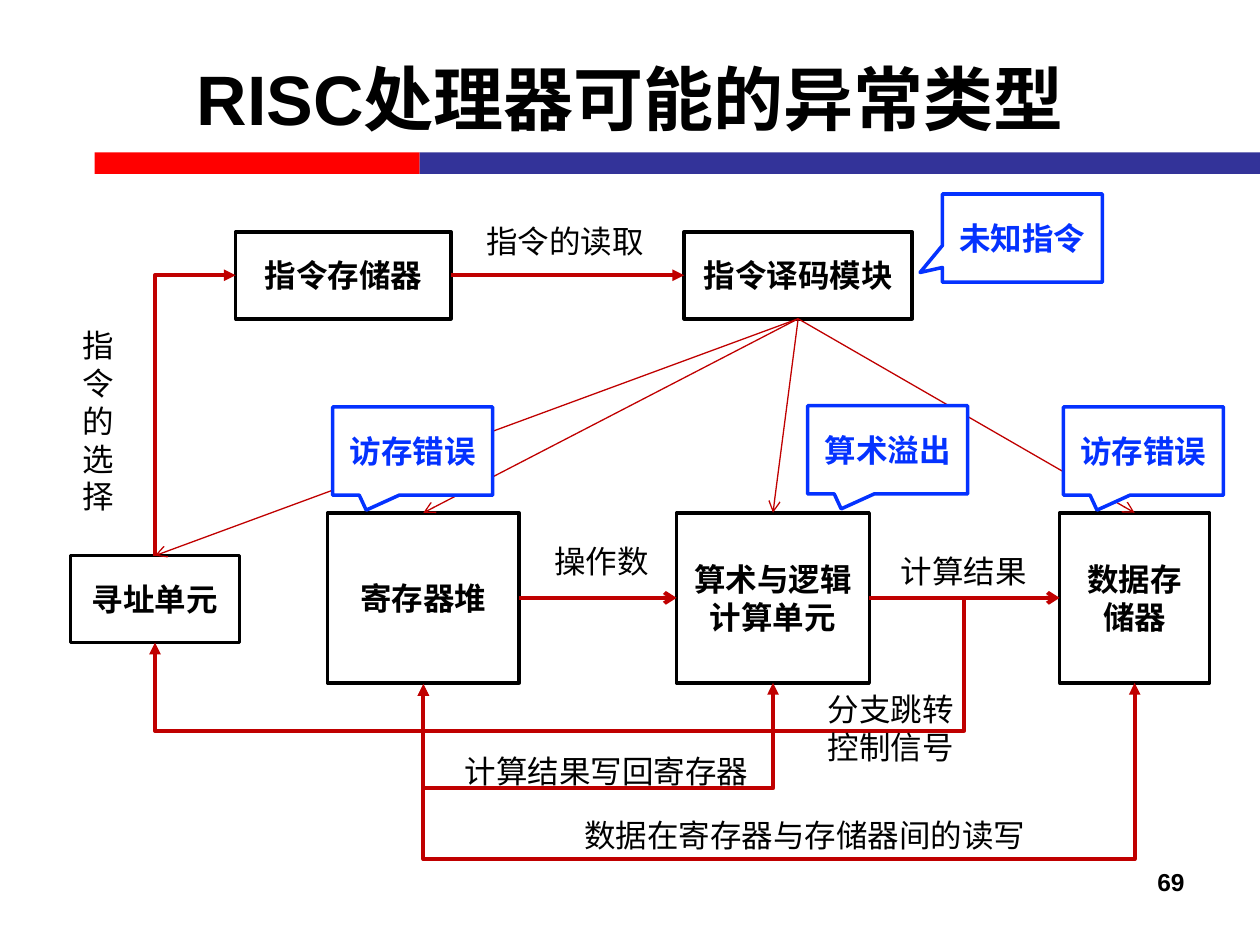
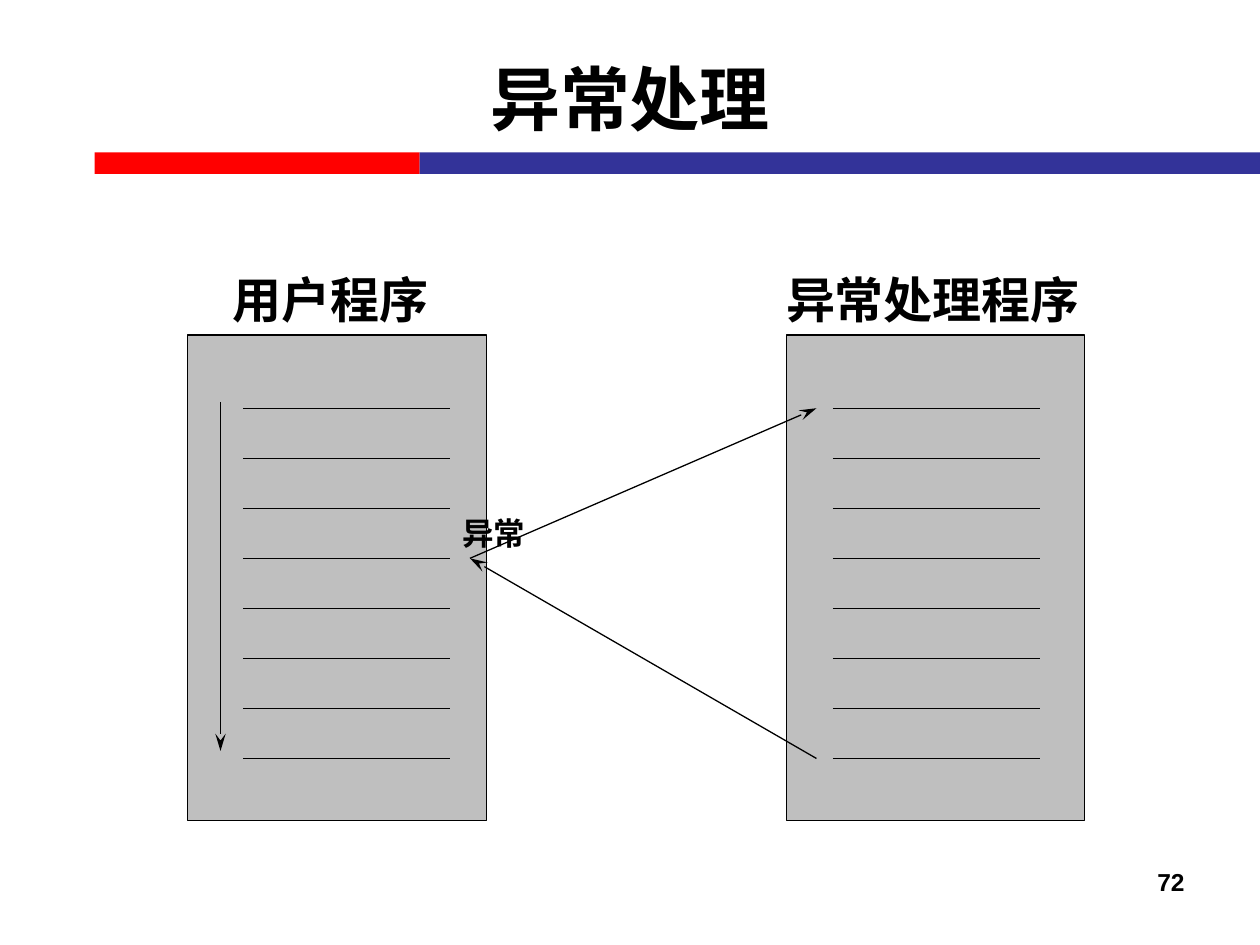
from dataclasses import dataclass

from lxml.etree import SubElement
from pptx import Presentation
from pptx.dml.color import RGBColor
from pptx.enum.shapes import MSO_CONNECTOR, MSO_SHAPE
from pptx.enum.text import MSO_ANCHOR, PP_ALIGN
from pptx.oxml.ns import qn
from pptx.util import Inches, Pt


@dataclass(frozen=True)
class Theme:
    font: str = "Arial"
    ink: str = "000000"
    paper: str = "FFFFFF"
    red: str = "FF0000"
    navy: str = "333399"
    signal: str = "C00000"
    alert: str = "0432FF"
    panel: str = "BFBFBF"
    title: int = 40
    heading: int = 28
    body: int = 18
    number: int = 14
    thin: float = 0.75
    outline: float = 2
    thick: float = 2.25


THEME = Theme()
WIDTH, HEIGHT = 10, 7.5

# Shared frame: left, top, width, height in inches
TITLE_AREA = (0.5, 0.15, 9, 1.25)
NUMBER_AREA = (7.17, 6.83, 2.33, 0.52)
BANDS = [((0.75, 1.21, 2.58, 0.17), THEME.red),
         ((3.33, 1.21, 6.67, 0.17), THEME.navy)]

# Processor diagram
DATAPATH = {
    "title": "RISC处理器可能的异常类型",
    "number": "69",
    "units": {
        "alu": ("算术与逻辑计算单元", (5.37, 4.07, 1.53, 1.35)),
        "registers": ("寄存器堆", (2.6, 4.07, 1.52, 1.35)),
        "decoder": ("指令译码模块", (5.43, 1.84, 1.81, 0.69)),
        "addressing": ("寻址单元", (0.56, 4.41, 1.34, 0.69)),
        "instructions": ("指令存储器", (1.87, 1.84, 1.71, 0.69)),
        "memory": ("数据存储器", (8.41, 4.07, 1.19, 1.35)),
    },
    "flows": [("registers", "alu", "arrow"), ("alu", "memory", "arrow"),
              ("instructions", "decoder", "triangle")],
    "decoded": ["alu", "registers", "memory", "addressing"],
    "loops": [("memory", "registers", 6.84), ("alu", "registers", 6.27)],
    "branch": ((7.65, 4.75), 5.8),
    "labels": [
        ("指令的选择", (0.56, 2.54, 0.46, 1.62)),
        ("指令的读取", (3.76, 1.71, 1.63, 0.4)),
        ("数据在寄存器与存储器间的读写", (4.54, 6.43, 3.87, 0.4)),
        ("计算结果写回寄存器", (3.59, 5.92, 2.65, 0.4)),
        ("操作数", (4.3, 4.25, 1, 0.4)),
        ("计算结果", (7.05, 4.33, 1.21, 0.4)),
        ("分支跳转控制信号", (6.47, 5.43, 1.32, 0.71)),
    ],
    "callout_size": (1.27, 0.7),
    "callouts": [
        ("未知指令", (7.48, 1.54), (-0.64, 0.39)),
        ("访存错误", (2.64, 3.23), (-0.29, 0.67)),
        ("访存错误", (8.44, 3.23), (-0.29, 0.67)),
        ("算术溢出", (6.41, 3.22), (-0.29, 0.67)),
    ],
}

# Control transfer between two programs
HANDLING = {
    "title": "异常处理",
    "number": "72",
    "panel": (2.66, 2.37, 3.85),
    "programs": [  # heading, heading left and width, panel left, lines left
        ("用户程序", 1.75, 1.78, 1.49, 1.93),
        ("异常处理程序", 6.14, 2.57, 6.24, 6.61),
    ],
    "lines": {"count": 8, "top": 3.24, "bottom": 6.02, "length": 1.64},
    "interrupted": 3,
    "progress": ((1.75, 3.19), (1.75, 5.96)),
    "sides": (3.73, 6.48),
    "event": ("异常", (3.57, 4.03, 0.71, 0.4)),
}


def inches(values):
    return [Inches(value) for value in values]


def color(value):
    return RGBColor.from_string(value)


def set_format(target, values):
    for name, value in values.items():
        setattr(target, name, value)


def write(shape, text, size=THEME.body, ink=THEME.ink, bold=False,
          align=PP_ALIGN.LEFT, anchor=MSO_ANCHOR.TOP, wrap=True):
    frame = shape.text_frame
    set_format(frame, {"word_wrap": wrap, "vertical_anchor": anchor})
    paragraph = frame.paragraphs[0]
    paragraph.alignment = align
    run = paragraph.add_run()
    run.text = text
    set_format(run.font, {"name": THEME.font, "size": Pt(size), "bold": bold})
    run.font.color.rgb = color(ink)


def add_text(slide, text, area, **style):
    write(slide.shapes.add_textbox(*inches(area)), text, **style)


def add_box(slide, area, fill=None, line=None, weight=THEME.outline,
            kind=MSO_SHAPE.RECTANGLE):
    shape = slide.shapes.add_shape(kind, *inches(area))
    shape.shadow.inherit = False
    if fill:
        shape.fill.solid()
        shape.fill.fore_color.rgb = color(fill)
    else:
        shape.fill.background()
    if line:
        shape.line.color.rgb = color(line)
        shape.line.width = Pt(weight)
    else:
        shape.line.fill.background()
    return shape


def add_line(slide, start, end, ink=THEME.ink, weight=THEME.thin, head=None,
             tail=None, kind=MSO_CONNECTOR.STRAIGHT):
    connector = slide.shapes.add_connector(kind, *inches((*start, *end)))
    connector.line.color.rgb = color(ink)
    connector.line.width = Pt(weight)
    properties = connector._element.spPr
    outline = properties.find(qn("a:ln"))
    for tag, arrow in (("a:headEnd", head), ("a:tailEnd", tail)):
        if arrow:
            tip = SubElement(outline, qn(tag))
            tip.set("type", arrow)
            tip.set("len", "lg" if arrow == "stealth" else "med")
    SubElement(properties, qn("a:effectLst"))
    return connector


def add_elbow(slide, start, end, bottom=None, head=None):
    """Quarter-turned elbow: down to bottom and back up, or one corner up."""
    (x1, y1), (x2, y2) = start, end
    across, along = abs(x2 - x1), abs(y2 - y1)
    middle_x, middle_y = (x1 + x2) / 2, (y1 + y2) / 2
    near = (middle_x - along / 2, middle_y - across / 2)
    far = (middle_x + along / 2, middle_y + across / 2)
    ends = (far, near) if bottom is None else (near, far)
    connector = add_line(slide, *ends, ink=THEME.signal, weight=THEME.thick,
                         head=head, tail="triangle", kind=MSO_CONNECTOR.ELBOW)
    properties = connector._element.spPr
    properties.find(qn("a:xfrm")).set("rot", "5400000")
    geometry = properties.find(qn("a:prstGeom"))
    if bottom is None:
        geometry.set("prst", "bentConnector2")
        return
    adjustments = geometry.find(qn("a:avLst"))
    if adjustments is None:
        adjustments = SubElement(geometry, qn("a:avLst"))
    guide = SubElement(adjustments, qn("a:gd"))
    guide.set("name", "adj1")
    guide.set("fmla", f"val {round((bottom - y1) / along * 100000)}")


def edge(area, side):
    left, top, width, height = area
    share_x, share_y = {"left": (0, 0.5), "right": (1, 0.5),
                        "top": (0.5, 0), "bottom": (0.5, 1)}[side]
    return left + width * share_x, top + height * share_y


def start_slide(presentation, content):
    slide = presentation.slides.add_slide(presentation.slide_layouts[6])
    for area, fill in BANDS:
        add_box(slide, area, fill)
    add_text(slide, content["title"], TITLE_AREA, size=THEME.title, bold=True,
             align=PP_ALIGN.CENTER, anchor=MSO_ANCHOR.MIDDLE)
    add_text(slide, content["number"], NUMBER_AREA, size=THEME.number,
             bold=True, align=PP_ALIGN.RIGHT)
    return slide


def build_datapath(presentation, content):
    slide = start_slide(presentation, content)
    centred = {"bold": True, "align": PP_ALIGN.CENTER,
               "anchor": MSO_ANCHOR.MIDDLE}
    signal = {"ink": THEME.signal, "weight": THEME.thick}
    areas = {name: area for name, (_, area) in content["units"].items()}

    # Units
    for text, area in content["units"].values():
        write(add_box(slide, area, line=THEME.ink), text, **centred)

    # Straight flows and decoder fan
    for source, target, arrow in content["flows"]:
        start = edge(areas[source], "right")
        end = (areas[target][0], start[1])
        add_line(slide, start, end, tail=arrow, **signal)
    for target in content["decoded"]:
        add_line(slide, edge(areas["decoder"], "bottom"),
                 edge(areas[target], "top"), ink=THEME.signal, tail="arrow")

    # Bent flows
    add_elbow(slide, edge(areas["addressing"], "top"),
              edge(areas["instructions"], "left"))
    for source, target, bottom in content["loops"]:
        x, y = edge(areas[target], "bottom")
        add_elbow(slide, edge(areas[source], "bottom"), (x, y + 0.01),
                  bottom, head="triangle")
    start, bottom = content["branch"]
    add_elbow(slide, start, edge(areas["addressing"], "bottom"), bottom)

    # Exceptions and labels
    for text, position, tip in content["callouts"]:
        callout = add_box(slide, (*position, *content["callout_size"]),
                          THEME.paper, THEME.alert,
                          kind=MSO_SHAPE.RECTANGULAR_CALLOUT)
        for index, value in enumerate(tip):
            callout.adjustments[index] = value
        write(callout, text, ink=THEME.alert, **centred)
    for text, area in content["labels"]:
        add_text(slide, text, area)


def build_handling(presentation, content):
    slide = start_slide(presentation, content)
    top, width, height = content["panel"]
    lines = content["lines"]
    step = (lines["bottom"] - lines["top"]) / (lines["count"] - 1)
    rows = [lines["top"] + step * index for index in range(lines["count"])]

    # Programs with their instruction lines
    for heading, text_left, text_width, left, line_left in content["programs"]:
        add_box(slide, (left, top, width, height), THEME.panel, THEME.ink,
                THEME.thin)
        add_text(slide, heading, (text_left, top - 0.57, text_width, 0.57),
                 size=THEME.heading, bold=True, wrap=False)
        for row in rows:
            add_line(slide, (line_left, row),
                     (line_left + lines["length"], row))

    # Progress, jump to the handler, and return
    user, handler = content["sides"]
    event = (user, rows[content["interrupted"]])
    for start, end in [content["progress"], (event, (handler, rows[0])),
                       ((handler, rows[-1]), event)]:
        add_line(slide, start, end, tail="stealth")
    text, area = content["event"]
    add_text(slide, text, area, bold=True, wrap=False)


def main():
    presentation = Presentation()
    set_format(presentation, {"slide_width": Inches(WIDTH),
                              "slide_height": Inches(HEIGHT)})
    build_datapath(presentation, DATAPATH)
    build_handling(presentation, HANDLING)
    presentation.save("out.pptx")


if __name__ == "__main__":
    main()
